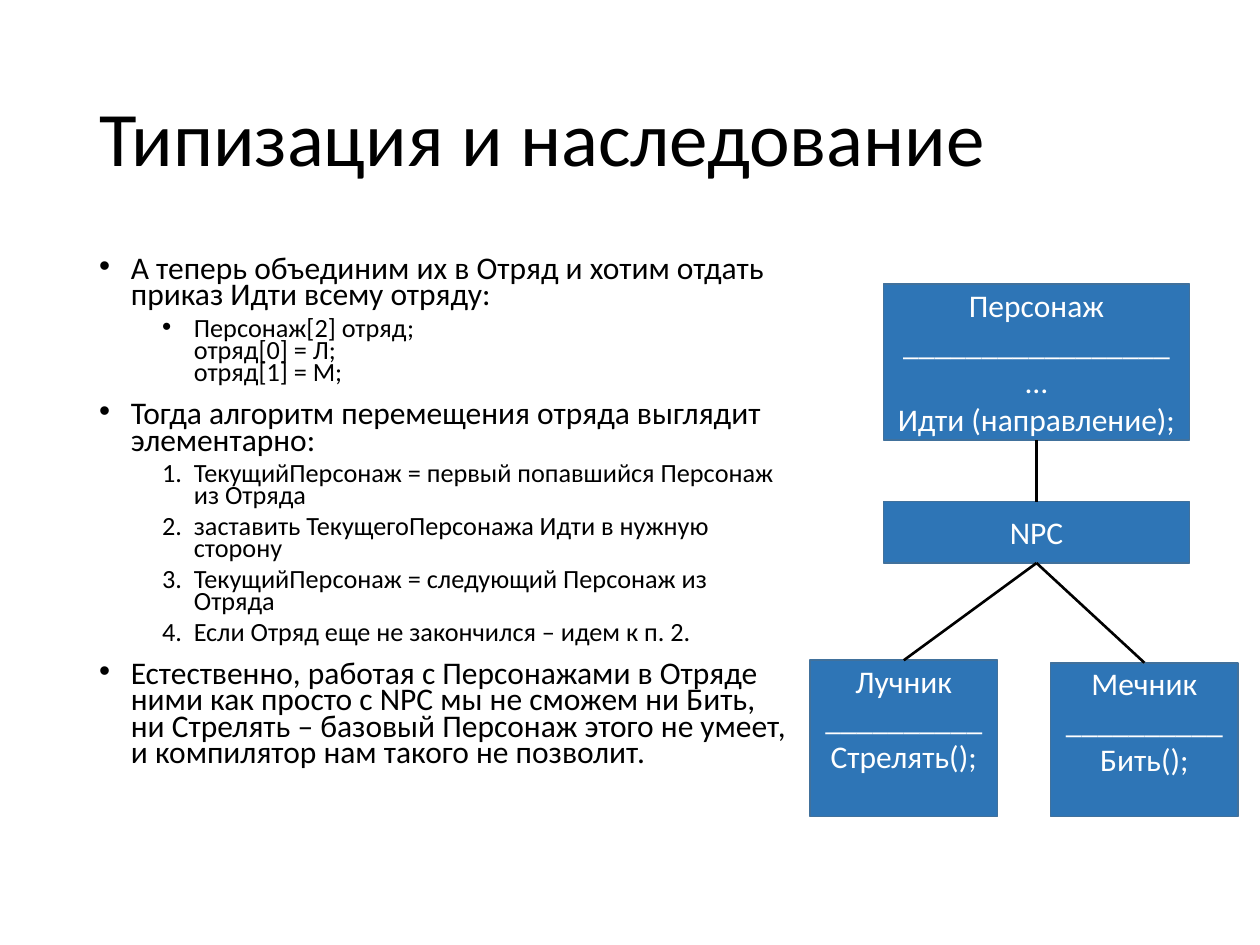
from dataclasses import dataclass

from lxml.etree import SubElement
from pptx import Presentation
from pptx.dml.color import RGBColor
from pptx.enum.shapes import MSO_CONNECTOR, MSO_SHAPE
from pptx.enum.text import MSO_ANCHOR as Anchor, PP_ALIGN as Align
from pptx.oxml.ns import qn
from pptx.shapes.autoshape import Shape
from pptx.slide import Slide
from pptx.text.text import TextFrame, _Paragraph as Paragraph
from pptx.util import Cm, Pt

FONT = "Calibri"
BLACK, WHITE, BOX_FILL, BOX_LINE = "000000", "FFFFFF", "2E75B6", "41719C"
TOP_SITE, BOTTOM_SITE = 0, 2


@dataclass
class Point:
    lines: list[str]
    level: int = 0
    numbered: bool = False


@dataclass
class ClassBox:
    left: float
    top: float
    width: float
    height: float
    lines: list[str]
    anchor: Anchor = Anchor.MIDDLE
    inset: float = 0.13


POINTS = [
    Point(["А теперь объединим их в Отряд и хотим отдать приказ Идти всему отряду:"]),
    Point(["Персонаж[2] отряд;", "отряд[0] = Л;", "отряд[1] = М;"], 1),
    Point(["Тогда алгоритм перемещения отряда выглядит элементарно:"]),
    Point(["ТекущийПерсонаж = первый попавшийся Персонаж из Отряда"], 1, True),
    Point(["заставить ТекущегоПерсонажа Идти в нужную сторону"], 1, True),
    Point(["ТекущийПерсонаж = следующий Персонаж из Отряда"], 1, True),
    Point(["Если Отряд еще не закончился – идем к п. 2."], 1, True),
    Point(["Естественно, работая с Персонажами в Отряде ними как просто с NPC мы не "
           "сможем ни Бить, ни Стрелять – базовый Персонаж этого не умеет, "
           "и компилятор нам такого не позволит."]),
]

CHARACTER = ClassBox(17.81, 5.72, 6.17, 3.15,
                     ["Персонаж", "_" * 17, "…", "Идти (направление);"])
NPC = ClassBox(17.81, 10.11, 6.17, 1.24, ["NPC"])
ARCHER = ClassBox(16.33, 13.31, 3.78, 3.15,
                  ["Лучник", "_" * 10, "Стрелять();"], Anchor.TOP, 0.03)
SWORDSMAN = ClassBox(21.18, 13.36, 3.78, 3.1,
                     ["Мечник", "_" * 10, "Бить();"], Anchor.TOP, 0.03)


def rgb(value: str) -> RGBColor:
    return RGBColor.from_string(value)


def add_text(paragraph: Paragraph, text: str, size: float, color: str) -> None:
    run = paragraph.add_run()
    run.text = text
    run.font.name = FONT
    run.font.size = Pt(size)
    run.font.color.rgb = rgb(color)


def next_paragraph(frame: TextFrame, index: int) -> Paragraph:
    return frame.add_paragraph() if index else frame.paragraphs[0]


def add_bullet(paragraph: Paragraph, point: Point) -> None:
    properties = paragraph._p.get_or_add_pPr()
    properties.set("marL", str(Cm(1.91 if point.level else 0.64)))
    properties.set("indent", str(-Cm(0.64)))
    if point.numbered:
        SubElement(properties, qn("a:buFont"), typeface=FONT)
        SubElement(properties, qn("a:buAutoNum"), type="arabicPeriod")
    else:
        SubElement(properties, qn("a:buFont"), typeface="Arial")
        SubElement(properties, qn("a:buChar"), char="•")


def add_title(slide: Slide, text: str) -> None:
    title = slide.shapes.title
    title.left, title.top, title.width, title.height = Cm(1.75), Cm(1.02), Cm(21.92), Cm(3.68)
    title.text_frame.vertical_anchor = Anchor.MIDDLE
    paragraph = title.text_frame.paragraphs[0]
    paragraph.alignment = Align.LEFT
    paragraph.line_spacing = 0.9
    add_text(paragraph, text, 44, BLACK)


def add_points(slide: Slide, points: list[Point]) -> None:
    frame = slide.shapes.add_textbox(Cm(1.75), Cm(5.08), Cm(14.4), Cm(12.09)).text_frame
    frame.word_wrap = True
    for index, point in enumerate(points):
        paragraph = next_paragraph(frame, index)
        add_bullet(paragraph, point)
        paragraph.level = point.level
        paragraph.line_spacing = 0.7
        paragraph.space_before = Pt((5 if point.level else 10) if index else 0)
        for number, line in enumerate(point.lines):
            if number:
                paragraph.add_line_break()
            add_text(paragraph, line, 15 if point.level else 18, BLACK)


def add_class(slide: Slide, box: ClassBox) -> Shape:
    shape = slide.shapes.add_shape(MSO_SHAPE.RECTANGLE, Cm(box.left), Cm(box.top),
                                   Cm(box.width), Cm(box.height))
    shape.shadow.inherit = False
    shape.fill.solid()
    shape.fill.fore_color.rgb = rgb(BOX_FILL)
    shape.line.color.rgb = rgb(BOX_LINE)
    shape.line.width = Pt(1)
    frame = shape.text_frame
    frame.word_wrap = True
    frame.vertical_anchor = box.anchor
    frame.margin_top = frame.margin_bottom = Cm(box.inset)
    for index, line in enumerate(box.lines):
        paragraph = next_paragraph(frame, index)
        paragraph.alignment = Align.CENTER
        add_text(paragraph, line, 18, WHITE)
    return shape


def link(slide: Slide, child: Shape, parent: Shape) -> None:
    line = slide.shapes.add_connector(MSO_CONNECTOR.STRAIGHT, 0, 0, 0, 0)
    line.begin_connect(child, TOP_SITE)
    line.end_connect(parent, BOTTOM_SITE)
    line.line.color.rgb = rgb(BLACK)
    line.line.width = Pt(1.5)
    SubElement(line._element.spPr, qn("a:effectLst"))


def main() -> None:
    deck = Presentation()
    deck.slide_width, deck.slide_height = Cm(25.4), Cm(19.05)
    slide = deck.slides.add_slide(deck.slide_layouts[5])
    add_title(slide, "Типизация и наследование")
    add_points(slide, POINTS)
    npc, archer, swordsman, character = [
        add_class(slide, box) for box in (NPC, ARCHER, SWORDSMAN, CHARACTER)]
    for child, parent in ((archer, npc), (swordsman, npc), (npc, character)):
        link(slide, child, parent)
    deck.save("out.pptx")


if __name__ == "__main__":
    main()
